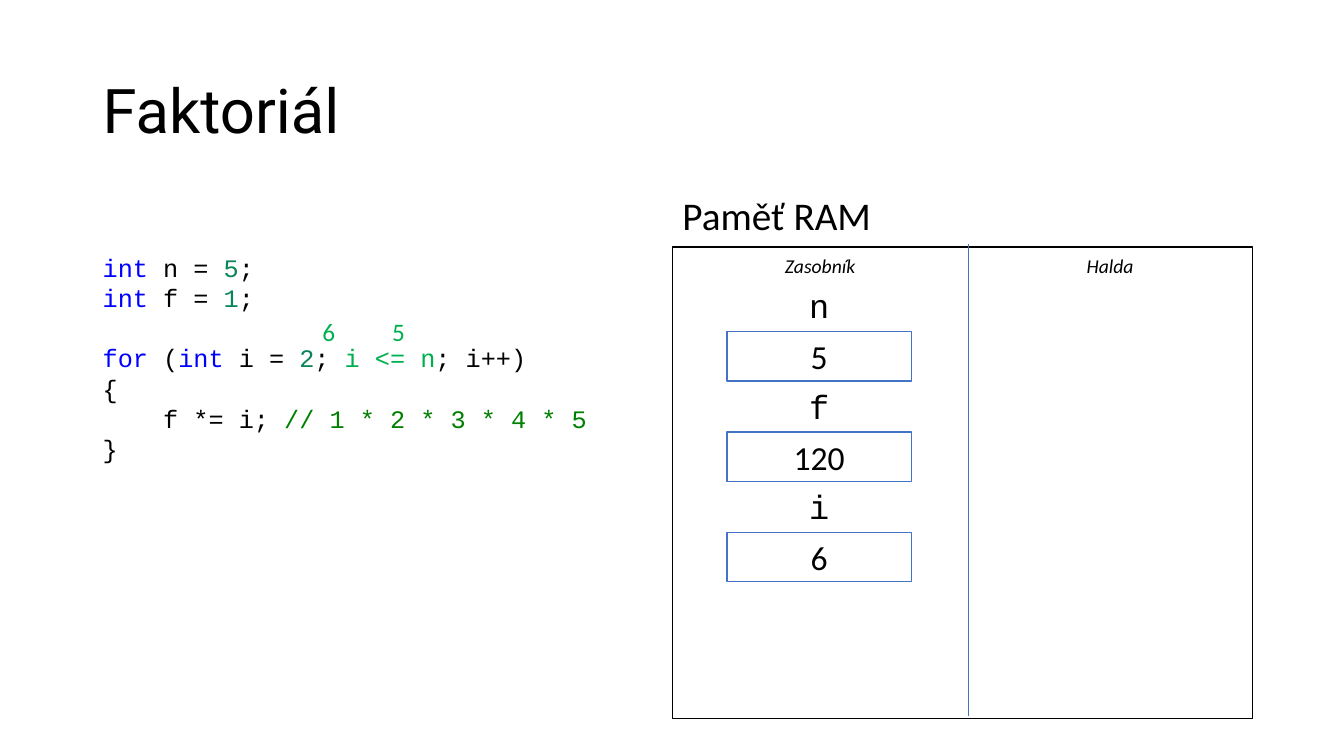
from dataclasses import dataclass

from lxml.etree import SubElement
from pptx import Presentation
from pptx.dml.color import RGBColor
from pptx.enum.shapes import MSO_CONNECTOR, MSO_SHAPE
from pptx.enum.text import MSO_ANCHOR, PP_ALIGN
from pptx.oxml.ns import qn
from pptx.util import Inches, Pt


@dataclass(frozen=True)
class Theme:
    text: str = "000000"
    paper: str = "FFFFFF"
    accent: str = "4472C4"
    keyword: str = "0000FF"
    number: str = "098658"
    comment: str = "008000"
    highlight: str = "00B050"
    title_font: str = "Roboto"
    body_font: str = "Calibri"
    code_font: str = "Courier New"
    title_size: int = 44
    heading_size: int = 28
    value_size: int = 24
    code_size: int = 18
    caption_size: int = 14


THEME = Theme()

CODE = [
    [("int", THEME.keyword), (" n = ", THEME.text), ("5", THEME.number), (";", THEME.text)],
    [("int", THEME.keyword), (" f = ", THEME.text), ("1", THEME.number), (";", THEME.text)],
    [("for", THEME.keyword), (" (", THEME.text), ("int", THEME.keyword),
     (" i = ", THEME.text), ("2", THEME.number), ("; ", THEME.text),
     ("i <= n", THEME.highlight), ("; i++)", THEME.text)],
    [("{", THEME.text)],
    [("    f *= i; ", THEME.text), ("// 1 * 2 * 3 * 4 * 5", THEME.comment)],
    [("}", THEME.text)],
]
LOOP_LINE = 2
LOOP_GAP = 21.6

VARIABLES = [("n", "5"), ("f", "120"), ("i", "6")]

RAM_LEFT, RAM_TOP, RAM_WIDTH, RAM_HEIGHT = 6.67, 2.45, 5.75, 4.68
DIVIDER = 9.6
CELL_LEFT, CELL_TOP, CELL_WIDTH, CELL_HEIGHT = 7.21, 3.29, 1.83, 0.49
CELL_STEP, NAME_HEIGHT = 0.995, 0.51


def rgb(color):
    return RGBColor.from_string(color)


def style(font, size, name, color=THEME.text, italic=None):
    font.size = Pt(size)
    font.name = name
    font.color.rgb = rgb(color)
    font.italic = italic


def add_frame(slide, left, top, width, height):
    """Add an empty wrapping text box and return its text frame."""
    box = slide.shapes.add_textbox(Inches(left), Inches(top), Inches(width), Inches(height))
    box.text_frame.word_wrap = True
    return box.text_frame


def add_label(slide, bounds, text, size, font=THEME.body_font,
              color=THEME.text, align=PP_ALIGN.LEFT, italic=None):
    frame = add_frame(slide, *bounds)
    paragraph = frame.paragraphs[0]
    paragraph.text = text
    paragraph.alignment = align
    style(paragraph.font, size, font, color, italic)
    return frame


def add_title(slide, text):
    frame = add_label(slide, (0.92, 0.4, 11.5, 1.45), text, THEME.title_size, THEME.title_font)
    frame.vertical_anchor = MSO_ANCHOR.MIDDLE
    frame.paragraphs[0].line_spacing = 0.9


def add_box(slide, left, top, width, height, outline):
    box = slide.shapes.add_shape(MSO_SHAPE.RECTANGLE, Inches(left), Inches(top),
                                 Inches(width), Inches(height))
    box.shadow.inherit = False
    box.fill.solid()
    box.fill.fore_color.rgb = rgb(THEME.paper)
    box.line.color.rgb = rgb(outline)
    box.line.width = Pt(1)
    return box


def add_divider(slide, x, top, bottom):
    divider = slide.shapes.add_connector(MSO_CONNECTOR.STRAIGHT, Inches(x), Inches(bottom),
                                         Inches(x), Inches(top))
    divider.line.color.rgb = rgb(THEME.accent)
    divider.line.width = Pt(0.5)
    SubElement(divider._element.spPr, qn("a:effectLst"))


def add_variable(slide, name, value, top):
    """Add a memory cell with the variable's name above it."""
    cell = add_box(slide, CELL_LEFT, top, CELL_WIDTH, CELL_HEIGHT, THEME.accent)
    cell.text_frame.vertical_anchor = MSO_ANCHOR.MIDDLE
    content = cell.text_frame.paragraphs[0]
    content.text = value
    content.alignment = PP_ALIGN.CENTER
    style(content.font, THEME.value_size, THEME.body_font)
    add_label(slide, (CELL_LEFT, top - NAME_HEIGHT, CELL_WIDTH, NAME_HEIGHT), name,
              THEME.value_size, THEME.code_font, align=PP_ALIGN.CENTER)


def add_memory(slide):
    add_box(slide, RAM_LEFT, RAM_TOP, RAM_WIDTH, RAM_HEIGHT, THEME.text)
    add_label(slide, (RAM_LEFT, 1.85, RAM_WIDTH, 0.57), "Paměť RAM", THEME.heading_size)
    for row, (name, value) in enumerate(VARIABLES):
        add_variable(slide, name, value, CELL_TOP + row * CELL_STEP)
    add_divider(slide, DIVIDER, 2.42, 7.1)
    ram_right = RAM_LEFT + RAM_WIDTH
    for caption, left, right in [("Zasobník", RAM_LEFT, DIVIDER), ("Halda", DIVIDER, ram_right)]:
        add_label(slide, (left, 2.47, right - left, 0.34), caption, THEME.caption_size,
                  align=PP_ALIGN.CENTER, italic=True)


def add_code(slide):
    frame = add_frame(slide, 0.92, 2.45, 5.75, 3.13)
    for number, tokens in enumerate(CODE):
        line = frame.add_paragraph() if number else frame.paragraphs[0]
        style(line.font, THEME.code_size, THEME.code_font)
        if number == LOOP_LINE:
            line.space_before = Pt(LOOP_GAP)
        for text, color in tokens:
            token = line.add_run()
            token.text = text
            token.font.color.rgb = rgb(color)


def main():
    presentation = Presentation()
    presentation.slide_width = Inches(13.33)
    presentation.slide_height = Inches(7.5)
    slide = presentation.slides.add_slide(presentation.slide_layouts[6])
    add_title(slide, "Faktoriál")
    add_memory(slide)
    add_code(slide)
    for current, left in [("6", 3.1), ("5", 3.79)]:
        add_label(slide, (left, 3.09, 0.31, 0.4), current, THEME.code_size, color=THEME.highlight)
    presentation.save("out.pptx")


if __name__ == "__main__":
    main()
